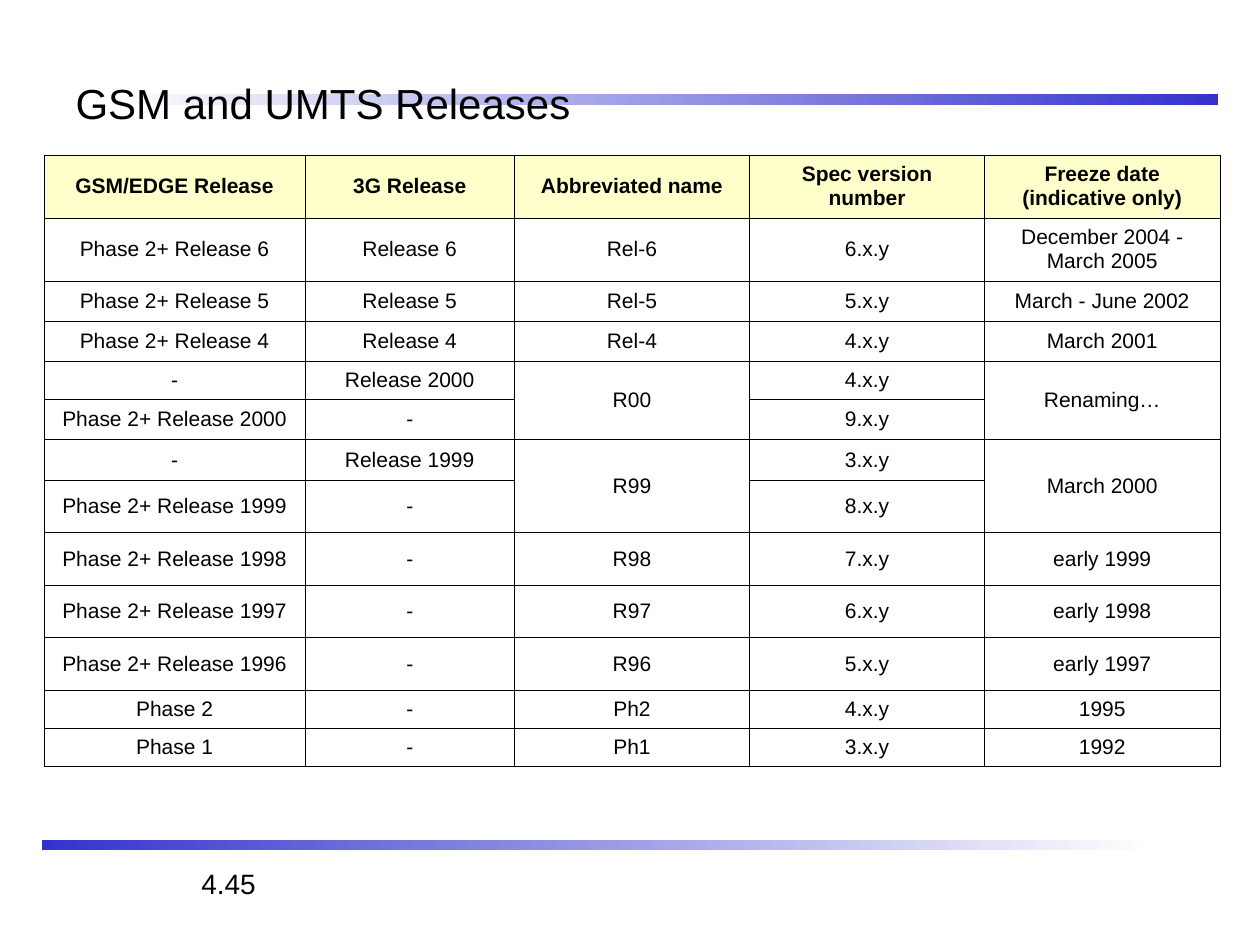
from lxml.etree import SubElement
from pptx import Presentation
from pptx.dml.color import RGBColor
from pptx.enum.shapes import MSO_SHAPE
from pptx.enum.text import MSO_ANCHOR, MSO_AUTO_SIZE, PP_ALIGN
from pptx.oxml.ns import qn
from pptx.util import Cm, Pt

BLACK = RGBColor(0x00, 0x00, 0x00)
WHITE = RGBColor(0xFF, 0xFF, 0xFF)
BLUE = RGBColor(0x33, 0x33, 0xCC)
CREAM = RGBColor(0xFF, 0xFF, 0xCC)
FONT = "Arial"

TITLE = "GSM and UMTS Releases"
PAGE_NUMBER = "4.45"
HEADER = ["GSM/EDGE Release", "3G Release", "Abbreviated name",
          "Spec version number", "Freeze date\v(indicative only)"]
SPANNED = ""  # continues the cell above
# Row height in cm, then the cells
RELEASES = [
    (1.27, HEADER),
    (1.27, ["Phase 2+ Release 6", "Release 6", "Rel-6", "6.x.y", "December 2004 - March 2005"]),
    (0.81, ["Phase 2+ Release 5", "Release 5", "Rel-5", "5.x.y", "March - June 2002"]),
    (0.81, ["Phase 2+ Release 4", "Release 4", "Rel-4", "4.x.y", "March 2001"]),
    (0.77, ["-", "Release 2000", "R00", "4.x.y", "Renaming…"]),
    (0.81, ["Phase 2+ Release 2000", "-", SPANNED, "9.x.y", SPANNED]),
    (0.81, ["-", "Release 1999", "R99", "3.x.y", "March 2000"]),
    (1.06, ["Phase 2+ Release 1999", "-", SPANNED, "8.x.y", SPANNED]),
    (1.06, ["Phase 2+ Release 1998", "-", "R98", "7.x.y", "early 1999"]),
    (1.06, ["Phase 2+ Release 1997", "-", "R97", "6.x.y", "early 1998"]),
    (1.06, ["Phase 2+ Release 1996", "-", "R96", "5.x.y", "early 1997"]),
    (0.77, ["Phase 2", "-", "Ph2", "4.x.y", "1995"]),
    (0.77, ["Phase 1", "-", "Ph1", "3.x.y", "1992"]),
]
COLUMN_WIDTHS = [5.26, 4.22, 4.74, 4.74, 4.74]
# Left, top and the colours from left to right
BARS = [(2.12, 1.9, (WHITE, BLUE)), (0.85, 16.93, (BLUE, WHITE))]


def write(text_frame, text, size, bold=False, align=PP_ALIGN.LEFT):
    text_frame.word_wrap = True
    paragraph = text_frame.paragraphs[0]
    paragraph.alignment = align
    for index, line in enumerate(text.split("\v")):
        if index:
            paragraph.add_line_break()
        run = paragraph.add_run()
        run.text = line
        run.font.name = FONT
        run.font.size = Pt(size)
        run.font.bold = bold
        run.font.color.rgb = BLACK
    for line_break in text_frame._txBody.iter(qn("a:br")):
        SubElement(line_break, qn("a:rPr"), sz=str(size * 100))
    return paragraph


def add_bar(slide, left, top, colors):
    bar = slide.shapes.add_shape(MSO_SHAPE.RECTANGLE, Cm(left), Cm(top), Cm(22.43), Cm(0.21))
    bar.shadow.inherit = False
    bar.line.fill.background()
    bar.fill.gradient()
    bar.fill.gradient_angle = 0
    for stop, position, color in zip(bar.fill.gradient_stops, (0, 1), colors):
        stop.position = position
        stop.color.rgb = color
    slide.shapes.title.element.addprevious(bar.element)  # behind the title


def add_borders(cell):
    properties = cell._tc.get_or_add_tcPr()
    for side in ("a:lnL", "a:lnR", "a:lnT", "a:lnB"):
        line = SubElement(properties, qn(side), w=str(Pt(0.34)))
        fill = SubElement(line, qn("a:solidFill"))
        SubElement(fill, qn("a:srgbClr"), val=str(BLACK))


def add_release_table(slide):
    table = slide.shapes.add_table(
        len(RELEASES), len(HEADER), Cm(0.89), Cm(3.12),
        Cm(sum(COLUMN_WIDTHS)), Cm(sum(height for height, _ in RELEASES))).table
    for column, width in zip(table.columns, COLUMN_WIDTHS):
        column.width = Cm(width)
    for row_index, (height, texts) in enumerate(RELEASES):
        is_header = row_index == 0
        table.rows[row_index].height = Cm(height)
        for column_index, text in enumerate(texts):
            cell = table.cell(row_index, column_index)
            cell.vertical_anchor = MSO_ANCHOR.MIDDLE
            write(cell.text_frame, text, 12, bold=is_header, align=PP_ALIGN.CENTER)
            add_borders(cell)
            if is_header:
                cell.fill.solid()
                cell.fill.fore_color.rgb = CREAM
            else:
                cell.fill.background()
            if text == SPANNED:
                table.cell(row_index - 1, column_index).merge(cell)


def add_page_number(slide):
    box = slide.shapes.add_textbox(Cm(1.27), Cm(17.35), Cm(5.92), Cm(1.32))
    paragraph = write(box.text_frame, "\t" + PAGE_NUMBER, 16)
    tabs = SubElement(paragraph._p.get_or_add_pPr(), qn("a:tabLst"))
    SubElement(tabs, qn("a:tab"), pos=str(Cm(2.54)), algn="l")


def main():
    presentation = Presentation()
    presentation.slide_width, presentation.slide_height = Cm(25.4), Cm(19.05)
    slide = presentation.slides.add_slide(presentation.slide_layouts[5])
    title = slide.shapes.title
    title.left, title.top, title.width, title.height = Cm(1.27), Cm(0.76), Cm(22.86), Cm(2.62)
    title.text_frame.auto_size = MSO_AUTO_SIZE.NONE
    title.text_frame.vertical_anchor = MSO_ANCHOR.MIDDLE
    write(title.text_frame, TITLE, 24)
    for bar in BARS:
        add_bar(slide, *bar)
    add_page_number(slide)
    add_release_table(slide)
    presentation.save("out.pptx")


if __name__ == "__main__":
    main()
